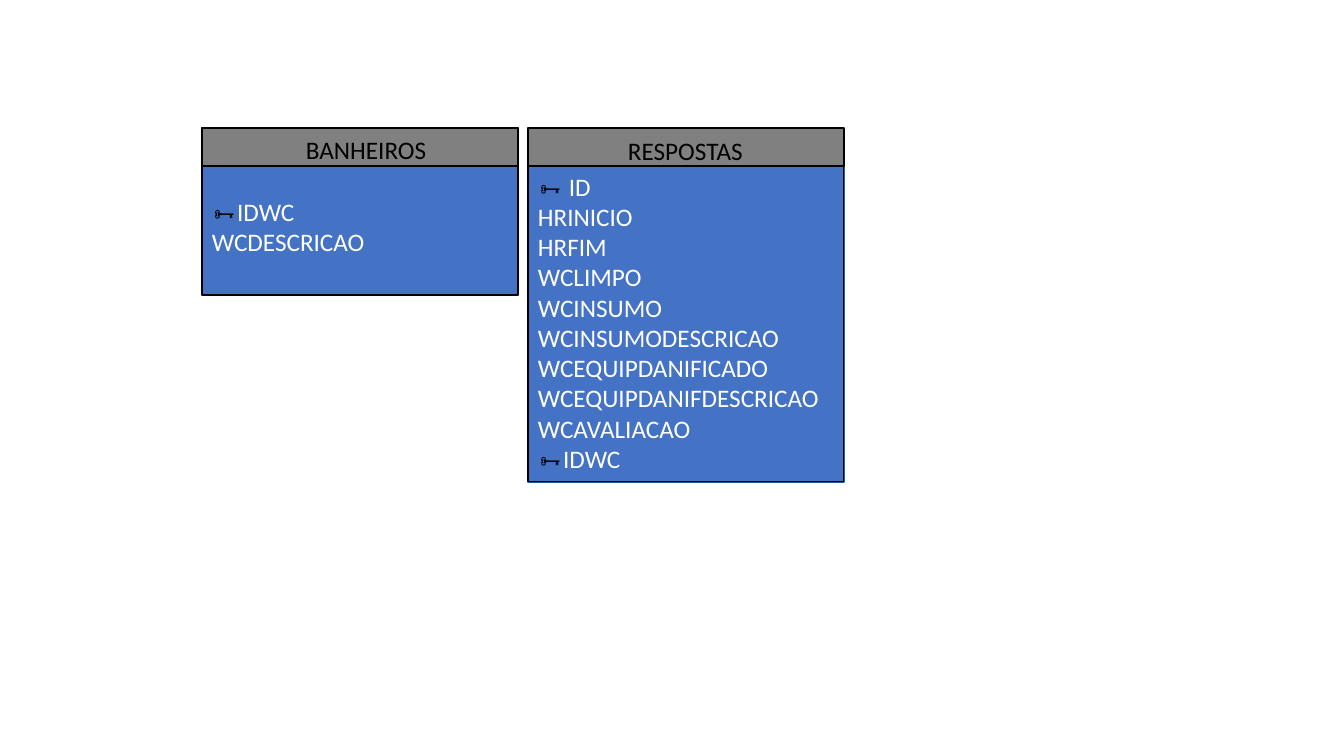
from pptx import Presentation
from pptx.dml.color import RGBColor
from pptx.enum.shapes import MSO_SHAPE as Shape
from pptx.util import Emu, Pt

SCALE = 914400 / 100.8
FONT, SIZE = "Calibri", 18
BLACK, WHITE, GRAY, BLUE, NAVY = "000000", "FFFFFF", "808080", "4472C4", "325491"
KEY = "🗝️"
WIDTH, HEAD = 316, 38


def px(n):
    return Emu(round(n * SCALE))


def color(code):
    return RGBColor.from_string(code)


class Board:
    def __init__(self, slide):
        self.slide = slide
        self.group = None

    def start(self):
        """Open a new group that takes the next elements."""
        self.group = self.slide.shapes.add_group_shape()

    def rect(self, x, y, w, h, fill, line):
        box = self.group.shapes.add_shape(Shape.RECTANGLE, px(x), px(y), px(w), px(h))
        box.shadow.inherit = False
        box.fill.solid()
        box.fill.fore_color.rgb = color(fill)
        box.line.color.rgb = color(line)
        box.line.width = Pt(1)

    def text(self, x, y, w, h, rows, wrap=True):
        """Write rows, each a list of (text, colour) runs."""
        box = self.group.shapes.add_textbox(px(x), px(y), px(w), px(h))
        frame = box.text_frame
        frame.word_wrap = wrap
        for i, row in enumerate(rows):
            para = frame.add_paragraph() if i else frame.paragraphs[0]
            for words, shade in row:
                run = para.add_run()
                run.text = words
                run.font.name = FONT
                run.font.size = Pt(SIZE)
                run.font.color.rgb = color(shade)
        return box

    def header(self, x, y):
        self.rect(x, y, WIDTH, HEAD, GRAY, BLACK)


def plain(names):
    return [[(name, WHITE)] for name in names]


def main():
    deck = Presentation()
    deck.slide_width, deck.slide_height = px(1344), px(756)
    board = Board(deck.slides.add_slide(deck.slide_layouts[6]))

    board.start()
    board.rect(528, 131, WIDTH, 351, BLUE, NAVY)
    board.header(528, 128)
    board.text(618, 130, 136, 40, [[("RESPOSTAS", BLACK)]], wrap=False)
    fields = plain(["HRINICIO", "HRFIM", "WCLIMPO", "WCINSUMO", "WCINSUMODESCRICAO",
                    "WCEQUIPDANIFICADO", "WCEQUIPDANIFDESCRICAO", "WCAVALIACAO"])
    first = [(KEY + " ", BLACK), ("ID", WHITE)]
    link = [(KEY, BLACK), ("IDWC", WHITE)]
    area = board.text(528, 166, WIDTH, 316, [first, *fields, link])
    area.line.color.rgb = color(BLACK)
    area.line.width = Pt(0.75)

    board.start()
    board.rect(202, 128, WIDTH, 167, BLUE, BLACK)
    board.header(202, 128)
    board.text(296, 129, 153, 40, [[("BANHEIROS", BLACK)]])
    board.text(202, 191, WIDTH, 72, [link, *plain(["WCDESCRICAO"])])

    deck.save("out.pptx")


if __name__ == "__main__":
    main()
